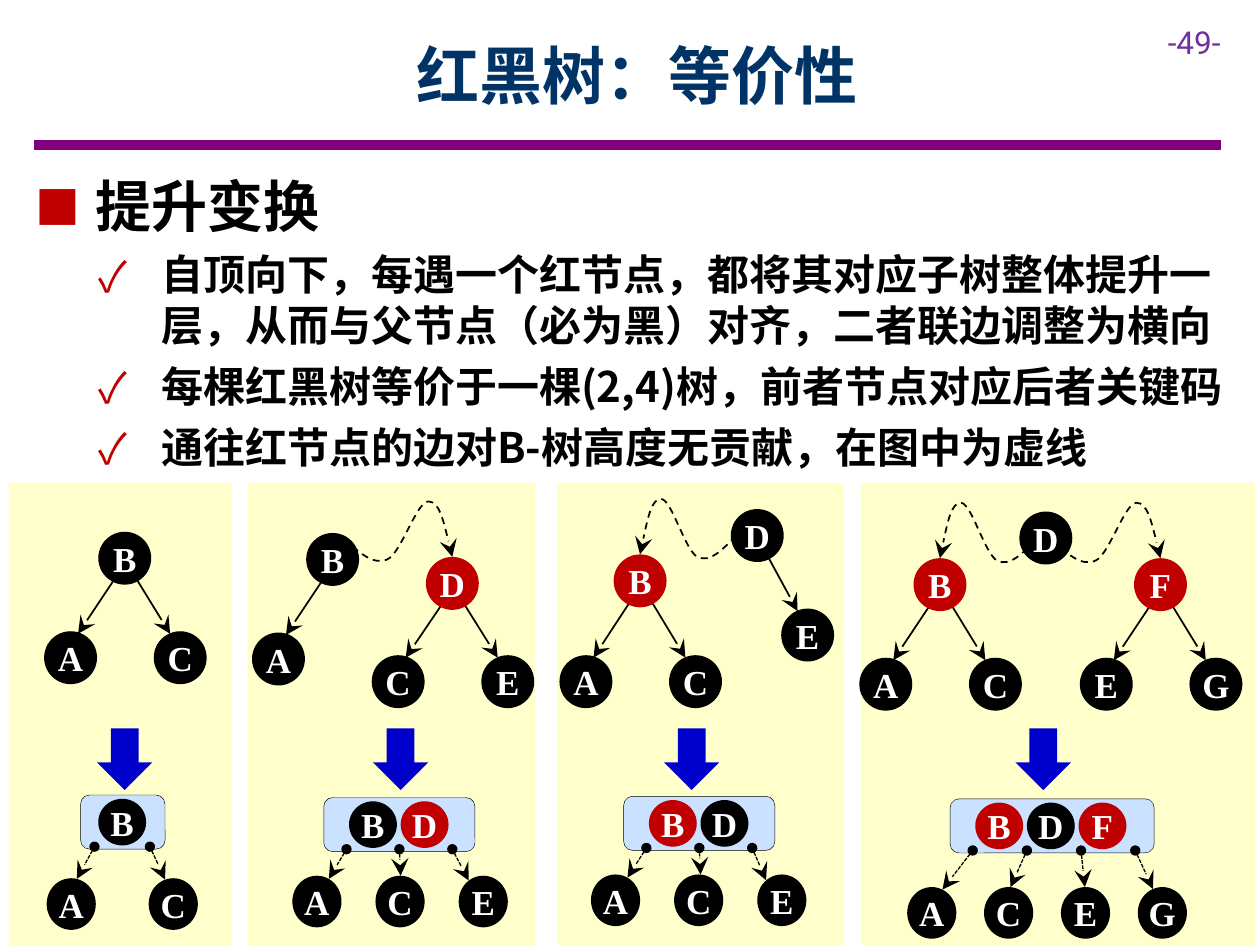
from lxml import etree
from pptx import Presentation
from pptx import util as u
from pptx.dml.color import RGBColor
from pptx.enum import dml, shapes, text
from pptx.oxml.ns import qn

COLORS = {"black": "000000", "red": "C00000", "white": "FFFFFF", "panel": "FFFFCC", "box": "CAE2FF",
          "arrow": "0000CC", "rule": "800080", "title": "003366", "page": "7030A0"}
CJK, SERIF, SANS = "Noto Sans CJK SC", "Times New Roman", "Roboto"
TITLE, PAGE = "红黑树：等价性", "-49-"
# level: bullet, bullet percent, size, left margin, hanging indent
LEVELS = {1: ("■", 80, 32, 0.48, 0.48), 2: ("✓", 100, 24, 1, 0.5)}
BODY = [
    (1, "提升变换"),
    (2, "自顶向下，每遇一个红节点，都将其对应子树整体提升一层，从而与父节点（必为黑）对齐，二者联边调整为横向"),
    (2, "每棵红黑树等价于一棵(2,4)树，前者节点对应后者关键码"),
    (2, "通往红节点的边对B-树高度无贡献，在图中为虚线"),
]
PANELS = [
    dict(left=0.07, width=1.77, arrow=0.77, red="", edges=["BA", "BC"], curves={},
         tree={"B": (0.78, 4.22), "A": (0.35, 5.01), "C": (1.22, 5.01)},
         box=(0.64, 6.31, 0.67), inset=0.14, keys="B",
         leaves="AC", leaf=(0.37, 6.97), gap=0.81, link=(0.75, 0.44), tips=(0.24, 0.13)),
    dict(left=1.97, width=2.28, arrow=2.96, red="D", edges=["BA", "DC", "DE"], curves={"D": 0.86},
         tree={"B": (2.43, 4.23), "A": (2, 5.02), "D": (3.38, 4.42), "E": (3.82, 5.2), "C": (2.95, 5.2)},
         box=(2.57, 6.33, 1.2), inset=0.2, keys="BD",
         leaves="ACE", leaf=(2.32, 6.95), gap=0.66, link=(2.75, 0.42), tips=(0.29, 0.2, 0.08)),
    dict(left=4.42, width=2.28, arrow=5.27, red="B", edges=["DE", "BA", "BC"], curves={"B": -0.76},
         tree={"D": (5.8, 4.04), "E": (6.2, 4.83), "B": (4.87, 4.4), "C": (5.31, 5.2), "A": (4.44, 5.2)},
         box=(4.95, 6.32, 1.2), inset=0.2, keys="BD",
         leaves="ACE", leaf=(4.69, 6.94), gap=0.66, link=(5.13, 0.42), tips=(0.29, 0.21, 0.07)),
    dict(left=6.83, width=3.13, arrow=8.06, red="BF", edges=["BA", "BC", "FE", "FG"],
         curves={"B": -0.76, "F": 0.86},
         tree={"D": (8.09, 4.06), "B": (7.25, 4.43), "C": (7.69, 5.22), "A": (6.82, 5.22),
               "F": (9, 4.43), "G": (9.44, 5.22), "E": (8.57, 5.22)},
         box=(7.54, 6.34, 1.62), inset=0.2, keys="BDF",
         leaves="ACEG", leaf=(7.2, 7.04), gap=0.61, link=(7.72, 0.43), tips=(0.28, 0.21, 0.19, 0.12)),
]
WAVE = [(0, 0), (0.13, 0.11), (0.27, 0.22), (0.4, 0.17), (0.53, 0.12), (0.67, -0.29),
        (0.78, -0.29), (0.88, -0.29), (0.94, -0.07), (1, 0.15)]


def cm(inches):
    """Turn inches into a length."""
    return u.Cm(inches * 2.54)


def rgb(name):
    """Look up a colour."""
    return RGBColor.from_string(COLORS[name])


def add_run(p, words, size, font, color, bold=True):
    """Add one formatted run to a paragraph."""
    r = p.add_run()
    r.text = words
    r.font.size, r.font.bold, r.font.name = u.Pt(size), bold, font
    r.font.color.rgb = rgb(color)
    etree.SubElement(r._r.get_or_add_rPr(), qn("a:ea"), typeface=font)


def add_block(s, kind, at, fill, outline=None):
    """Add a filled preset shape."""
    sp = s.shapes.add_shape(kind, *map(cm, at))
    sp.shadow.inherit = False
    sp.fill.solid()
    sp.fill.fore_color.rgb = rgb(fill)
    if outline:
        sp.line.color.rgb, sp.line.width = rgb("black"), u.Pt(outline)
    else:
        sp.line.fill.background()
    return sp


def add_node(s, key, left, top, width, height, red):
    """Add a lettered circle."""
    sp = add_block(s, shapes.MSO_SHAPE.OVAL, (left, top, width, height), "red" if key in red else "black")
    tf = sp.text_frame
    tf.margin_left = tf.margin_right = 0
    tf.margin_top = tf.margin_bottom = cm(0.1)
    tf.vertical_anchor = text.MSO_ANCHOR.MIDDLE
    tf.paragraphs[0].alignment = text.PP_ALIGN.CENTER
    add_run(tf.paragraphs[0], key, 20, SERIF, "white")


def style_line(sp, color="black", width=1, dash=None, head=None, tail="stealth"):
    """Format a line, its ends and its missing shadow."""
    sp.line.color.rgb, sp.line.width = rgb(color), u.Pt(width)
    if dash:
        sp.line.dash_style = dash
    pr = sp._element.spPr
    for tag, end, size in (("a:headEnd", head, "med"), ("a:tailEnd", tail, "lg")):
        if end:
            etree.SubElement(pr.find(qn("a:ln")), qn(tag), type=end, w=size, len=size)
    etree.SubElement(pr, qn("a:effectLst"))


def add_line(s, start, end, **style):
    """Add a straight connector."""
    sp = s.shapes.add_connector(shapes.MSO_CONNECTOR.STRAIGHT, *map(cm, start + end))
    style_line(sp, **style)


def add_wave(s, node, width):
    """Add a dashed curve that ends on top of a red node."""
    x, y = node[0] + 0.21 - width, node[1] - 0.15
    pts = [(cm(x + fx * width), cm(y + dy)) for fx, dy in WAVE]
    builder = s.shapes.build_freeform(*pts[0])
    builder.add_line_segments(pts[1:], close=False)
    sp = builder.convert_to_shape()
    sp.fill.background()
    outline = sp._element.find(".//" + qn("a:path"))
    steps = outline.findall(qn("a:lnTo"))
    for i in range(0, len(steps), 3):
        curve = etree.SubElement(outline, qn("a:cubicBezTo"))
        for step in steps[i:i + 3]:
            curve.append(step[0])
            outline.remove(step)
    style_line(sp, dash=dml.MSO_LINE.DASH)


def add_panel(s, d):
    """Draw a red-black tree above its equivalent B-tree."""
    add_block(s, shapes.MSO_SHAPE.RECTANGLE, (d["left"], 3.83, d["width"], 3.67), "panel")
    tree = d["tree"]
    for parent, child in d["edges"]:
        (px, py), (cx, cy) = tree[parent], tree[child]
        tip = 0.13 if cx > px else 0.27
        add_line(s, (px + 0.22, py + 0.24), (cx + tip, cy + 0.02))
    for key, width in d["curves"].items():
        add_wave(s, tree[key], width)
    for key, at in tree.items():
        add_node(s, key, *at, 0.42, 0.42, d["red"])
    add_block(s, shapes.MSO_SHAPE.DOWN_ARROW, (d["arrow"], 5.78, 0.44, 0.49), "arrow")

    x, y, width = d["box"]
    add_block(s, shapes.MSO_SHAPE.ROUNDED_RECTANGLE, (x, y, width, 0.43), "box", 0.25)
    for i, key in enumerate(d["keys"]):
        add_node(s, key, x + d["inset"] + i * 0.41, y + 0.03, 0.38, 0.37, d["red"])
    (lx, ly), (start, step) = d["leaf"], d["link"]
    for i, (key, tip) in enumerate(zip(d["leaves"], d["tips"])):
        left = lx + i * d["gap"]
        drop = 0.2 * (1 - (1 - (tip / 0.195 - 1) ** 2) ** 0.5)
        add_node(s, key, left, ly, 0.39, 0.41, "")
        add_line(s, (start + i * step, y + 0.41), (left + tip, ly + drop), width=0.75,
                 dash=dml.MSO_LINE.SQUARE_DOT, head="oval")


def add_body(s):
    """Add the bulleted text."""
    tf = s.shapes.add_textbox(*map(cm, (0.18, 1.31, 9.82, 3.44))).text_frame
    tf.word_wrap = True
    for i, (level, words) in enumerate(BODY):
        p = tf.add_paragraph() if i else tf.paragraphs[0]
        mark, percent, size, margin, hang = LEVELS[level]
        p.level, p.space_after = level - 1, u.Pt(6)
        pr = p._p.get_or_add_pPr()
        pr.set("marL", str(cm(margin)))
        pr.set("indent", str(-cm(hang)))
        tint = etree.SubElement(pr, qn("a:buClr"))
        etree.SubElement(tint, qn("a:srgbClr"), val=COLORS["red"])
        etree.SubElement(pr, qn("a:buSzPct"), val=str(percent * 1000))
        etree.SubElement(pr, qn("a:buFont"), typeface=CJK)
        etree.SubElement(pr, qn("a:buChar"), char=mark)
        add_run(p, words, size, CJK, "black")


def main():
    """Build the slide."""
    prs = Presentation()
    prs.slide_width, prs.slide_height = cm(10), cm(7.5)
    s = prs.slides.add_slide(prs.slide_layouts[5])
    title = s.shapes.title
    title.left, title.top, title.width, title.height = map(cm, (0.9, 0.09, 8.31, 1))
    tf = title.text_frame
    tf.auto_size, tf.vertical_anchor = text.MSO_AUTO_SIZE.NONE, text.MSO_ANCHOR.MIDDLE
    tf.paragraphs[0].alignment = text.PP_ALIGN.CENTER
    add_run(tf.paragraphs[0], TITLE, 36, CJK, "title")
    add_line(s, (0.27, 1.15), (9.69, 1.15), color="rule", width=6, tail=None)
    page = s.shapes.add_textbox(*map(cm, (9.17, 0.13, 0.83, 0.4))).text_frame
    page.word_wrap = True
    add_run(page.paragraphs[0], PAGE, 18, SANS, "page", False)
    for panel in PANELS:
        add_panel(s, panel)
    add_body(s)
    prs.save("out.pptx")


if __name__ == "__main__":
    main()
